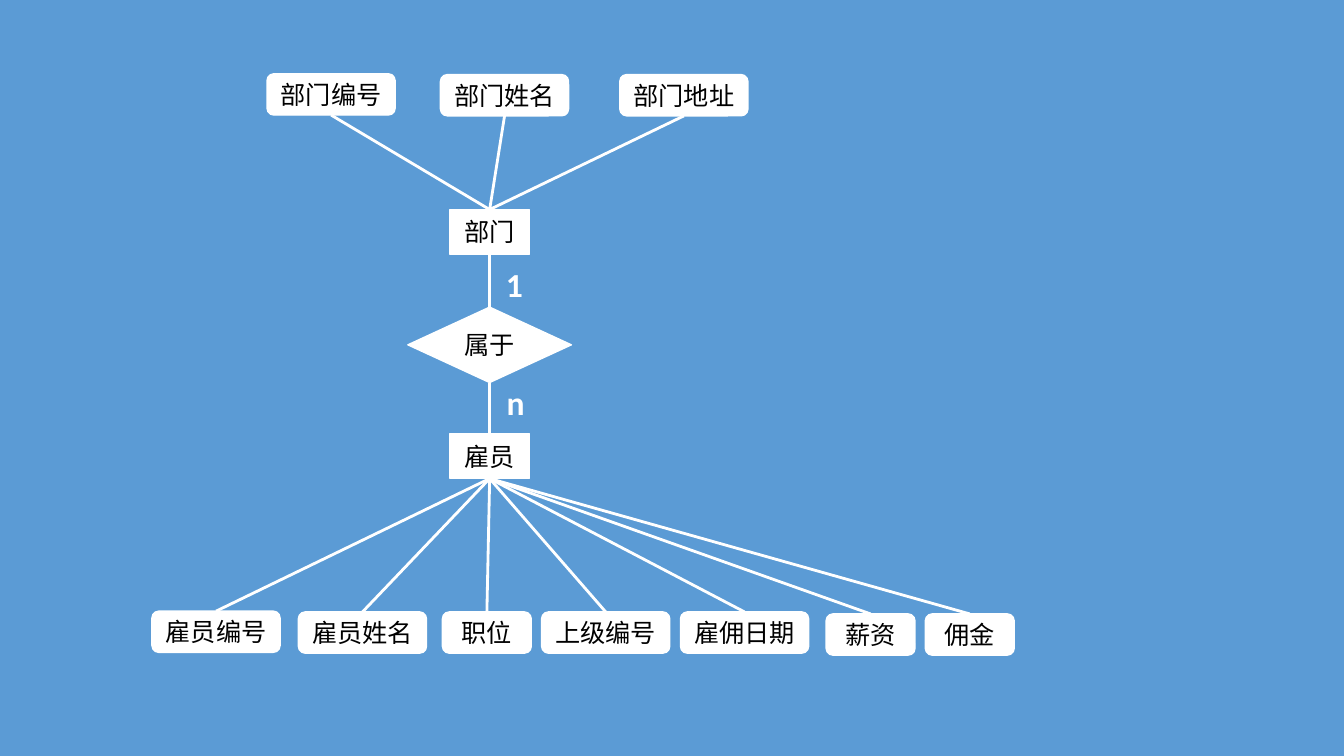
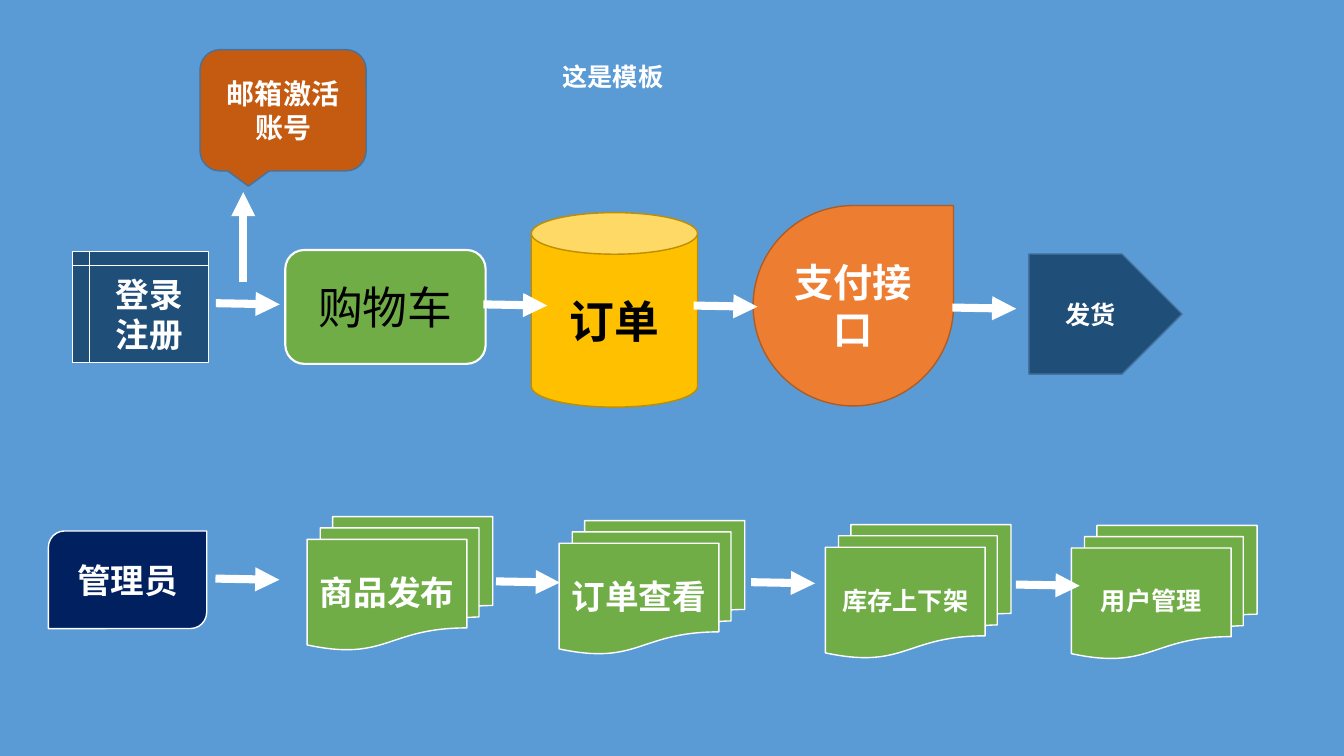
from lxml import etree
from pptx import Presentation
from pptx import util as u
from pptx.dml import color
from pptx.enum import shapes, text
from pptx.oxml import ns

SHAPE = shapes.MSO_SHAPE
CJK_FONT = "Noto Sans CJK SC"
LATIN_FONT = "Calibri"
WHITE, BLACK, BLUE = "FFFFFF", "000000", "5B9BD5"
GREEN, NAVY, EDGE = "70AD47", "1F4E79", "43739E"
TITLE_ONLY, BLANK = 5, 6
TOP, BOTTOM = 0, 2  # connection sites


def rgb(value):
    return color.RGBColor.from_string(value)


def box(left, top, width, height):
    return [u.Cm(length) for length in (left, top, width, height)]


class Deck:
    """Holds the shared style and the slide being drawn."""

    def __init__(self):
        self.presentation = Presentation()
        self.presentation.slide_width = u.Cm(33.87)
        self.presentation.slide_height = u.Cm(19.05)
        fill = self.presentation.slide_master.background.fill
        fill.solid()
        fill.fore_color.rgb = rgb(BLUE)
        self.slide = None

    def new_slide(self, layout):
        layouts = self.presentation.slide_layouts
        self.slide = self.presentation.slides.add_slide(layouts[layout])

    def set_text(self, shape, words, size, ink=WHITE, bold=True,
                 font=LATIN_FONT, align=text.PP_ALIGN.LEFT,
                 anchor=text.MSO_ANCHOR.TOP):
        frame = shape.text_frame
        frame.text = words
        frame.word_wrap = True
        frame.auto_size = text.MSO_AUTO_SIZE.NONE
        frame.vertical_anchor = anchor
        paragraph = frame.paragraphs[0]
        paragraph.alignment = align
        run = paragraph.runs[0]
        run.font.name = font
        run.font.size = u.Pt(size)
        run.font.bold = bold
        run.font.color.rgb = rgb(ink)
        properties = run._r.get_or_add_rPr()
        etree.SubElement(properties, ns.qn("a:ea"), typeface=CJK_FONT)

    def title(self, words, area):
        title = self.slide.shapes.title
        title.left, title.top, title.width, title.height = box(*area)
        self.set_text(title, words, 18)

    def label(self, words, area):
        self.set_text(self.slide.shapes.add_textbox(*box(*area)), words, 24)

    def node(self, kind, words, area, fill=WHITE, edge=WHITE, edge_width=1,
             size=18, **style):
        shape = self.slide.shapes.add_shape(kind, *box(*area))
        shape.shadow.inherit = False
        shape.fill.solid()
        shape.fill.fore_color.rgb = rgb(fill)
        shape.line.color.rgb = rgb(edge)
        shape.line.width = u.Pt(edge_width)
        self.set_text(shape, words, size, align=text.PP_ALIGN.CENTER,
                      anchor=text.MSO_ANCHOR.MIDDLE, **style)
        return shape

    def line(self, start, end, width):
        connector = self.slide.shapes.add_connector(
            shapes.MSO_CONNECTOR.STRAIGHT, *box(*start, *end))
        connector.line.color.rgb = rgb(WHITE)
        connector.line.width = u.Pt(width)
        etree.SubElement(connector._element.spPr, ns.qn("a:effectLst"))
        return connector

    def link(self, source, source_site, target, target_site):
        connector = self.line((0, 0), (0, 0), 2)
        connector.begin_connect(source, source_site)
        connector.end_connect(target, target_site)

    def arrow(self, start, end):
        connector = self.line(start, end, 5.75)
        outline = connector._element.spPr.find(ns.qn("a:ln"))
        etree.SubElement(outline, ns.qn("a:tailEnd"), type="triangle")


def draw_entities(deck):
    deck.new_slide(BLANK)
    axis = 12.34
    plain = {"ink": BLACK, "bold": False}

    def centred(kind, words, top, width, height):
        area = (axis - width / 2, top, width, height)
        return deck.node(kind, words, area, **plain)

    def attributes(entity, entity_site, site, items):
        for words, left, top in items:
            width = 3.23 if len(words) == 4 else 2.24
            attribute = deck.node(SHAPE.FLOWCHART_ALTERNATE_PROCESS, words,
                                  (left, top, width, 1.04), **plain)
            deck.link(entity, entity_site, attribute, site)

    department = centred(SHAPE.FLOWCHART_PROCESS, "部门", 5.28, 2, 1.13)
    relation = centred(SHAPE.FLOWCHART_DECISION, "属于", 7.74, 4.12, 1.9)
    employee = centred(SHAPE.FLOWCHART_PROCESS, "雇员", 10.93, 2, 1.13)
    deck.link(department, BOTTOM, relation, TOP)
    deck.link(relation, BOTTOM, employee, TOP)
    deck.label("1", (12.5, 6.53, 1.22, 1.27))
    deck.label("n", (12.52, 9.5, 1.22, 1.27))

    attributes(department, TOP, BOTTOM, [
        ("部门编号", 6.73, 1.86), ("部门姓名", 11.1, 1.88),
        ("部门地址", 15.62, 1.88)])
    attributes(employee, BOTTOM, TOP, [
        ("雇员编号", 3.83, 15.4), ("雇员姓名", 7.52, 15.42),
        ("职位", 11.15, 15.42), ("上级编号", 13.65, 15.42),
        ("雇佣日期", 17.15, 15.42), ("薪资", 20.82, 15.47),
        ("佣金", 23.32, 15.47)])


def draw_shop_flow(deck):
    deck.new_slide(TITLE_ONLY)
    deck.title("这是模板", (13.92, 1.42, 12.62, 1.02))

    deck.node(SHAPE.ROUNDED_RECTANGLE, "购物车", (7.19, 6.3, 5.05, 2.87),
              GREEN, edge_width=1.5, size=32, ink=BLACK, bold=False,
              font=CJK_FONT)
    deck.node(SHAPE.CAN, "订单", (13.39, 5.36, 4.19, 4.9), "FFC000",
              "BD8E00", size=32, ink=BLACK, font=CJK_FONT)
    deck.node(SHAPE.FLOWCHART_INTERNAL_STORAGE, "登录注册",
              (1.83, 6.34, 3.43, 2.79), NAVY, size=24)
    deck.node(SHAPE.TEAR, "支付接口", (18.98, 5.18, 5.05, 5.05), "ED7D31",
              "AF5C24", size=28, font=CJK_FONT)
    deck.node(SHAPE.PENTAGON, "发货", (25.93, 6.4, 3.86, 3.03), NAVY, EDGE,
              font=CJK_FONT)
    deck.node(SHAPE.ROUNDED_RECTANGULAR_CALLOUT, "邮箱激活账号",
              (5.04, 1.25, 4.19, 3.06), "C55A11", EDGE, size=20,
              font=CJK_FONT)
    deck.node(SHAPE.ROUND_2_DIAG_RECTANGLE, "管理员",
              (1.22, 13.38, 3.99, 2.46), "002060", size=24)

    for words, left, top, size in [
            ("商品发布", 7.74, 13.02, 24), ("订单查看", 14.09, 13.12, 24),
            ("库存上下架", 20.8, 13.22, 18), ("用户管理", 27, 13.24, 18)]:
        deck.node(SHAPE.FLOWCHART_MULTIDOCUMENT, words,
                  (left, top, 4.68, 3.36), GREEN, size=size)

    for x, y in [(5.44, 7.64), (12.18, 7.67), (17.48, 7.7), (24, 7.75),
                 (5.43, 14.58), (12.5, 14.65), (18.93, 14.67),
                 (25.6, 14.73)]:
        deck.arrow((x, y), (x + 1.61, y + 0.03))
    deck.arrow((6.13, 7.11), (6.13, 4.84))


def main():
    deck = Deck()
    draw_entities(deck)
    draw_shop_flow(deck)
    deck.presentation.save("out.pptx")


if __name__ == "__main__":
    main()
